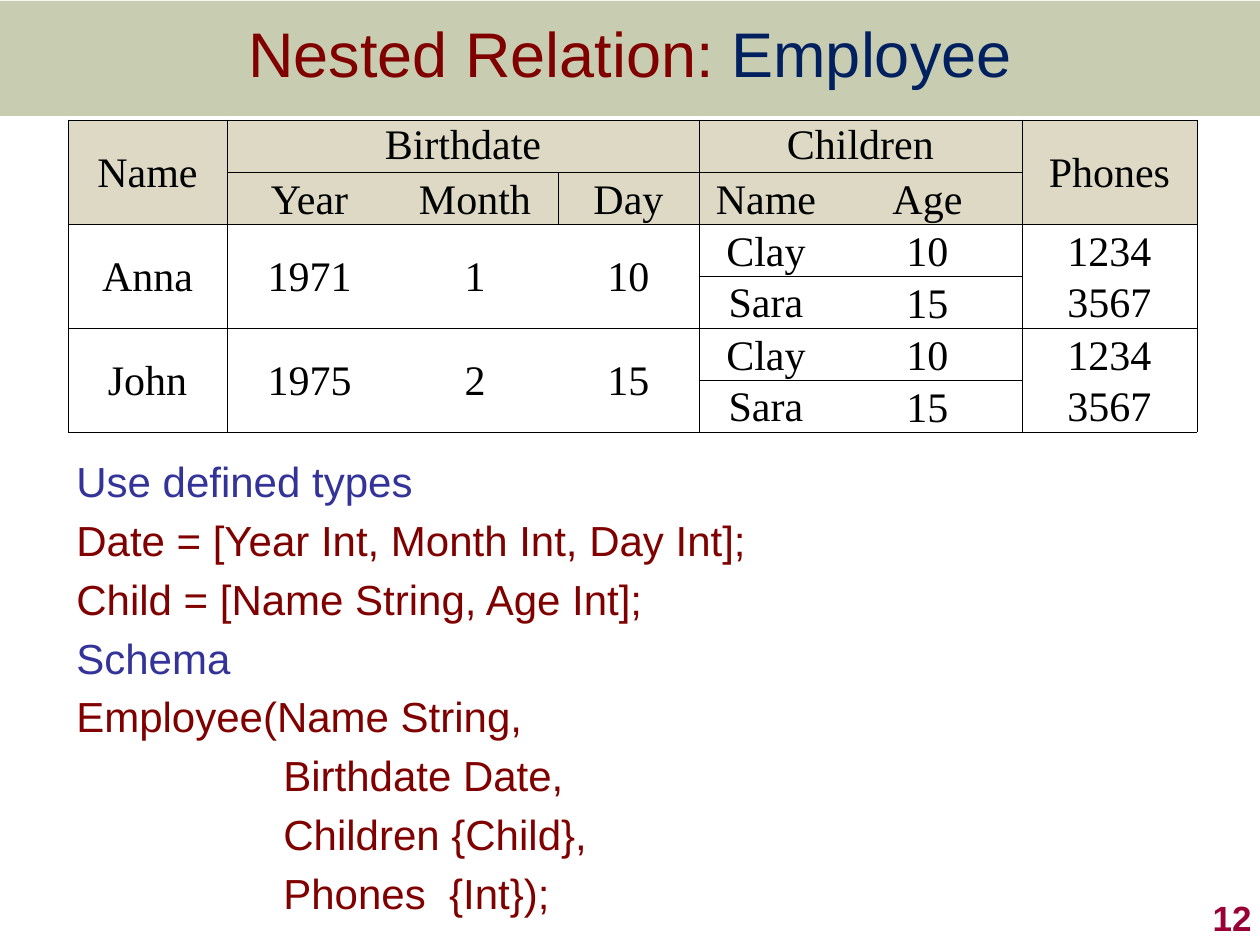
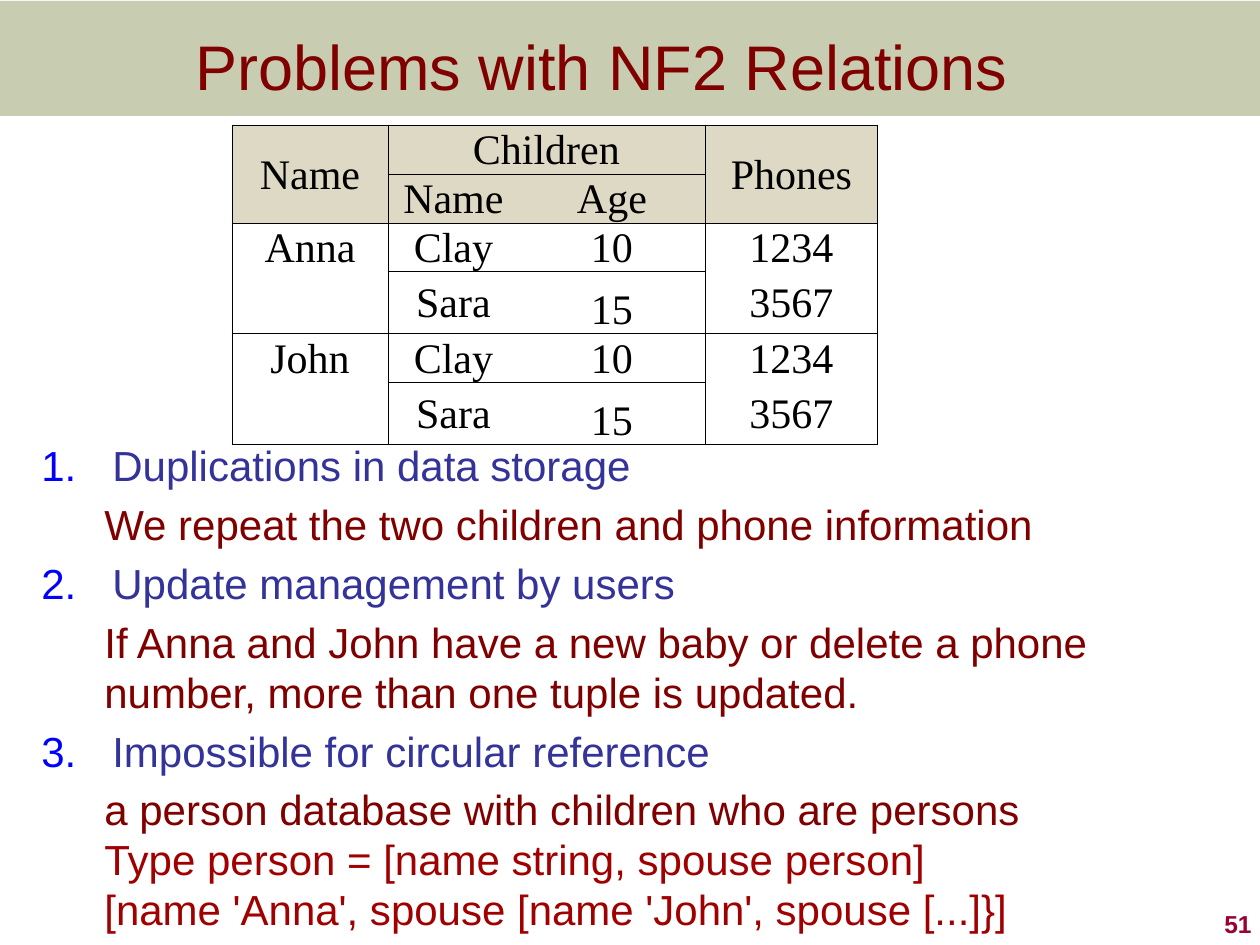
"""Build two slides on nested relations and the problems of NF2."""
from dataclasses import dataclass

from lxml import etree
from pptx import Presentation
from pptx.dml.color import RGBColor
from pptx.enum.shapes import MSO_SHAPE
from pptx.enum.text import MSO_ANCHOR, PP_ALIGN
from pptx.oxml.ns import qn
from pptx.util import Emu, Pt

RECT = MSO_SHAPE.RECTANGLE
TOP, MIDDLE, BOTTOM = MSO_ANCHOR.TOP, MSO_ANCHOR.MIDDLE, MSO_ANCHOR.BOTTOM
LEFT, CENTER, RIGHT = PP_ALIGN.LEFT, PP_ALIGN.CENTER, PP_ALIGN.RIGHT

EMU_PER_PX = 914400 / 126
SANS, SERIF = "Arial", "Times New Roman"
TITLE_ONLY = 5
HEADER_ROWS = 2
COLORS = {
    "band": "677228",
    "maroon": "800000",
    "red": "A00000",
    "navy": "002060",
    "indigo": "333399",
    "number": "0000FF",
    "page": "990033",
    "header": "DDD9C4",
    "white": "FFFFFF",
    "black": "000000",
}


@dataclass(frozen=True)
class Box:
    left: int
    top: int
    width: int
    height: int

    def emu(self) -> tuple[Emu, ...]:
        return tuple(px(v) for v in (self.left, self.top, self.width, self.height))


@dataclass(frozen=True)
class Run:
    text: str
    color: str = "maroon"


@dataclass(frozen=True)
class Line:
    runs: tuple[Run, ...]
    indent: int = 0
    level: int = 0
    numbered: bool = False


@dataclass(frozen=True)
class Cell:
    text: str
    row: int
    col: int
    anchor: int = MIDDLE
    open_sides: str = ""
    rows: int = 1
    cols: int = 1


def px(value: float) -> Emu:
    return Emu(round(value * EMU_PER_PX))


def rgb(name: str) -> RGBColor:
    return RGBColor.from_string(COLORS[name])


def add_run(p, text: str, size: int, color: str, font: str = SANS, bold: bool = False) -> None:
    r = p.add_run()
    r.text = text
    r.font.name = font
    r.font.size = Pt(size)
    r.font.bold = bold
    r.font.color.rgb = rgb(color)


def add_titled_slide(prs, box: Box, runs: tuple[Run, ...]):
    s = prs.slides.add_slide(prs.slide_layouts[TITLE_ONLY])
    title = s.shapes.title
    title.left, title.top, title.width, title.height = box.emu()
    tf = title.text_frame
    tf.vertical_anchor = MIDDLE
    p = tf.paragraphs[0]
    p.alignment = CENTER
    for run in runs:
        add_run(p, run.text, 36, run.color)

    band = s.shapes.add_shape(RECT, *Box(0, 1, 1260, 115).emu())
    band.shadow.inherit = False
    band.fill.solid()
    band.fill.fore_color.rgb = rgb("band")
    band.line.fill.background()
    color = band.fill._xPr.find(".//" + qn("a:srgbClr"))
    etree.SubElement(color, qn("a:alpha"), val="36000")
    title._element.addprevious(band._element)
    return s


def add_page_number(s, number: int, size: int) -> None:
    tf = s.shapes.add_textbox(*Box(1002, 882, 262, 63).emu()).text_frame
    tf.word_wrap = True
    tf.vertical_anchor = BOTTOM
    p = tf.paragraphs[0]
    p.alignment = RIGHT
    add_run(p, str(number), size, "page", bold=True)


def set_number(p_pr) -> None:
    bullet_color = etree.SubElement(p_pr, qn("a:buClr"))
    etree.SubElement(bullet_color, qn("a:srgbClr"), val=COLORS["number"])
    etree.SubElement(p_pr, qn("a:buFont"), typeface=SANS)
    etree.SubElement(p_pr, qn("a:buAutoNum"), type="arabicPeriod")


def add_body(s, box: Box, lines: list[Line]) -> None:
    tf = s.shapes.add_textbox(*box.emu()).text_frame
    tf.word_wrap = True
    tf.margin_right = 0
    for i, line in enumerate(lines):
        p = tf.add_paragraph() if i else tf.paragraphs[0]
        p.alignment = LEFT
        p.level = line.level
        p.line_spacing = Pt(28.6)
        p.space_before = Pt(5 if i else 0)
        p_pr = p._p.get_or_add_pPr()
        p_pr.set("marL", str(px(line.indent)))
        p_pr.set("indent", str(-px(line.indent) if line.numbered else 0))
        if line.numbered:
            set_number(p_pr)
        for j, run in enumerate(line.runs):
            if j:
                p.add_line_break()
            add_run(p, run.text, 24, run.color)


def set_borders(cell, sides: str) -> None:
    tc_pr = cell._tc.get_or_add_tcPr()
    for side in "LRTB":
        ln = etree.SubElement(tc_pr, qn(f"a:ln{side}"), w=str(Pt(0.5)))
        if side in sides:
            fill = etree.SubElement(ln, qn("a:solidFill"))
            etree.SubElement(fill, qn("a:srgbClr"), val=COLORS["black"])
        else:
            etree.SubElement(ln, qn("a:noFill"))


def draw_cell(table, spec: Cell) -> None:
    last_row, last_col = spec.row + spec.rows - 1, spec.col + spec.cols - 1
    sides = "".join(side for side in "LRTB" if side not in spec.open_sides)
    for row in range(spec.row, last_row + 1):
        for col in range(spec.col, last_col + 1):
            part = table.cell(row, col)
            set_borders(part, sides)
            part.margin_left = part.margin_right = part.margin_top = px(1)
            part.margin_bottom = 0
            part.fill.solid()
            part.fill.fore_color.rgb = rgb("header" if row < HEADER_ROWS else "white")
    cell = table.cell(spec.row, spec.col)
    if spec.rows * spec.cols > 1:
        cell.merge(table.cell(last_row, last_col))
    cell.vertical_anchor = spec.anchor
    p = cell.text_frame.paragraphs[0]
    p.alignment = CENTER
    p.line_spacing = Pt(27)
    if spec.text:
        add_run(p, spec.text, 24, "black", SERIF)


def add_relation(s, left: int, top: int, widths: list[int], heights: list[int],
                 cells: list[Cell]) -> None:
    box = Box(left, top, sum(widths), sum(heights))
    table = s.shapes.add_table(len(heights), len(widths), *box.emu()).table
    table.first_row = table.horz_banding = False
    for column, width in zip(table.columns, widths):
        column.width = px(width)
    for row, height in zip(table.rows, heights):
        row.height = px(height)
    for spec in cells:
        draw_cell(table, spec)


def family_cells(col: int) -> list[Cell]:
    age, phone = col + 1, col + 2
    cells = [
        Cell("Name", 0, 0, rows=2),
        Cell("Children", 0, col, TOP, cols=2),
        Cell("Phones", 0, phone, rows=2),
        Cell("Name", 1, col, BOTTOM, "R"),
        Cell("Age", 1, age, BOTTOM, "L"),
    ]
    for row in (2, 4):
        cells += [
            Cell("Clay", row, col, BOTTOM, "R"),
            Cell("10", row, age, BOTTOM, "L"),
            Cell("1234", row, phone, BOTTOM, "B"),
            Cell("Sara", row + 1, col, MIDDLE, "R"),
            Cell("15", row + 1, age, BOTTOM, "L"),
            Cell("3567", row + 1, phone, MIDDLE, "T"),
        ]
    return cells


def build_employee(prs) -> None:
    s = add_titled_slide(prs, Box(0, 0, 1260, 104),
                         (Run("Nested Relation: "), Run("Employee", "navy")))
    field = 207
    add_body(s, Box(64, 450, 804, 480), [
        Line((Run("Use defined types", "indigo"),)),
        Line((Run("Date = [Year Int, Month Int, Day Int];"),)),
        Line((Run("Child = [Name String, Age Int];"),)),
        Line((Run("Schema", "indigo"),)),
        Line((Run("Employee(Name String,"),)),
        Line((Run("Birthdate Date,"),), field),
        Line((Run("Children {Child},"),), field),
        Line((Run("Phones  {Int});"),), field),
    ])
    add_page_number(s, 12, 20)
    cells = family_cells(4) + [
        Cell("Birthdate", 0, 1, TOP, cols=3),
        Cell("Year", 1, 1, BOTTOM, "R"),
        Cell("Month", 1, 2, BOTTOM, "L"),
        Cell("Day", 1, 3, BOTTOM),
    ]
    people = [("Anna", "1971", "1", "10"), ("John", "1975", "2", "15")]
    for row, person in zip((2, 4), people):
        for col, (text, open_sides) in enumerate(zip(person, ("", "R", "LR", "L"))):
            cells.append(Cell(text, row, col, open_sides=open_sides, rows=2))
    add_relation(s, 68, 120, [159, 165, 166, 141, 134, 189, 175], [52] * 6, cells)


def build_problems(prs) -> None:
    s = add_titled_slide(prs, Box(49, 0, 1105, 131), (Run("Problems with NF2 Relations"),))
    problems = [
        ("Duplications in data storage",
         (Run("We repeat the two children and phone information"),)),
        ("Update management by users",
         (Run("If Anna and John have a new baby or delete a phone number, "
              "more than one tuple is updated."),)),
        ("Impossible for circular reference",
         (Run("a person database with children who are persons"),
          Run("Type person = [name string, spouse person]", "red"),
          Run("[name 'Anna', spouse [name 'John', spouse [...]}]", "red"))),
    ]
    lines = []
    for heading, details in problems:
        lines.append(Line((Run(heading, "indigo"),), 71, numbered=True))
        lines.append(Line(details, 63, level=1))
    add_body(s, Box(29, 434, 1184, 511), lines)
    add_page_number(s, 51, 14)
    cells = family_cells(1)
    for row, name in zip((2, 4), ("Anna", "John")):
        cells.append(Cell(name, row, 0, BOTTOM, "B"))
        cells.append(Cell("", row + 1, 0, open_sides="T"))
    add_relation(s, 232, 125, [156, 131, 186, 173], [49, 49] + [49, 62] * 2, cells)


def main() -> None:
    prs = Presentation()
    prs.slide_width, prs.slide_height = px(1260), px(945)
    build_employee(prs)
    build_problems(prs)
    prs.save("out.pptx")


if __name__ == "__main__":
    main()
